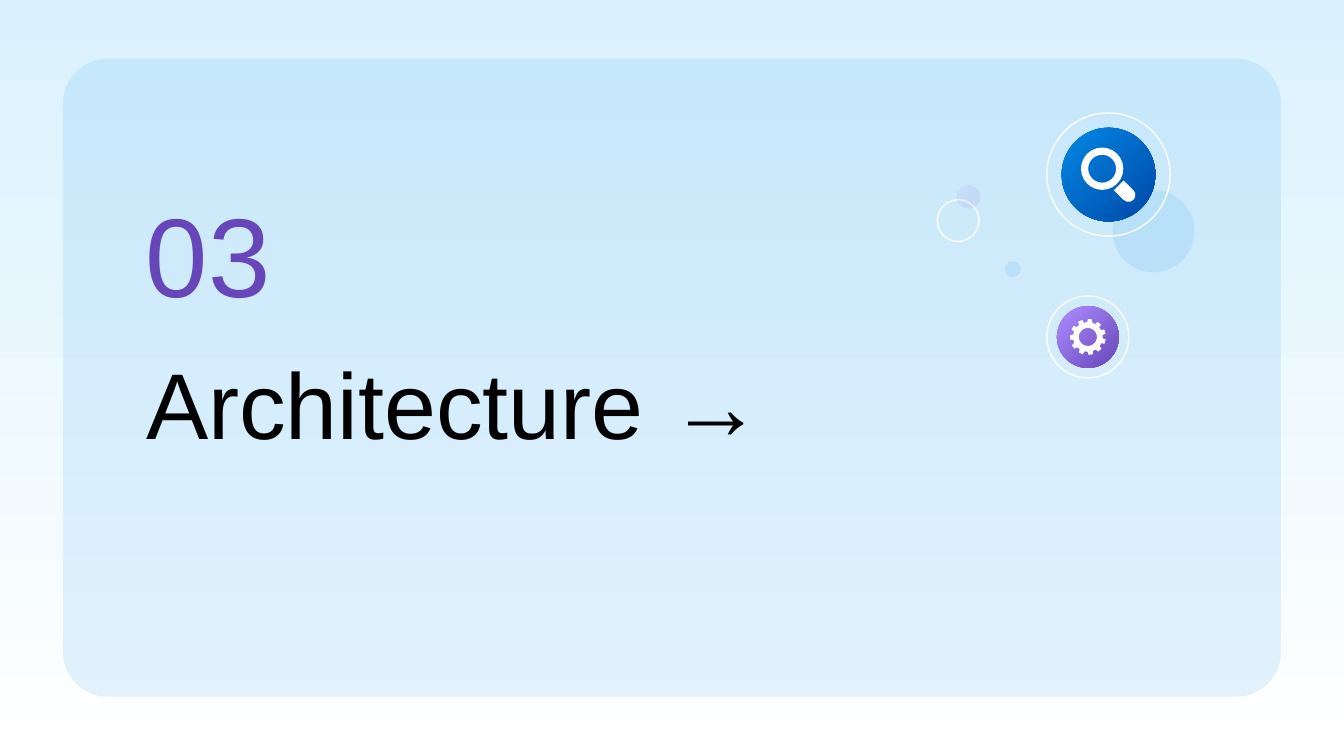
import math

import pptx
import pptx.dml.color
import pptx.enum.shapes
import pptx.enum.text
import pptx.oxml
import pptx.oxml.ns
import pptx.util

Cm = pptx.util.Cm
Pt = pptx.util.Pt
RGB = pptx.dml.color.RGBColor.from_string
SHAPE = pptx.enum.shapes.MSO_SHAPE
ANCHOR = pptx.enum.text.MSO_ANCHOR

COLORS = {
    "white": "FFFFFF",
    "sky": "DAF2FE",
    "blue": "0388E5",
    "navy": "0048A7",
    "lilac": "AD8DFF",
    "purple": "6746B9",
    "black": "000000",
}


def paint(fill, names, angle=315):
    """Fill with one colour, or with a gradient between two."""
    if len(names) == 1:
        fill.solid()
        fill.fore_color.rgb = RGB(COLORS[names[0]])
    else:
        fill.gradient()
        fill.gradient_angle = angle
        for stop, name in zip(fill.gradient_stops, names):
            stop.color.rgb = RGB(COLORS[name])


def add_figure(kind, center_x, center_y, width, height, names, opacity=100):
    """Add a preset shape around a centre; without colours it is a white ring."""
    figure = page.shapes.add_shape(
        kind, Cm(center_x - width / 2), Cm(center_y - height / 2), Cm(width), Cm(height))
    figure.shadow.inherit = False
    if names:
        paint(figure.fill, names)
        figure.line.fill.background()
    else:
        figure.fill.background()
        figure.line.color.rgb = RGB(COLORS["white"])
        figure.line.width = Pt(0.75)
    if opacity < 100:
        for color in figure._element.spPr.iter(pptx.oxml.ns.qn("a:srgbClr")):
            alpha = pptx.oxml.parse_xml(
                f'<a:alpha {pptx.oxml.ns.nsdecls("a")} val="{opacity * 1000}"/>')
            color.append(alpha)
    return figure


# Slide and background
deck = pptx.Presentation()
deck.slide_width, deck.slide_height = Cm(25.4), Cm(14.29)
page = deck.slides.add_slide(deck.slide_layouts[5])
paint(page.background.fill, ["white", "sky"], angle=90)

# Rounded card, behind the title
card = add_figure(SHAPE.ROUNDED_RECTANGLE, 12.7, 7.14, 23.02, 12.06, ["blue"], 10)
card.adjustments[0] = 0.07
page.shapes._spTree.insert(2, card._element)

# Section title and number
title = page.shapes.title
title.left, title.top, title.width, title.height = Cm(2.51), Cm(6.3), Cm(13.36), Cm(2.62)
number = page.shapes.add_textbox(Cm(2.51), Cm(3.23), Cm(13.36), Cm(3.07))
for box, words, size, name, anchor in [
    (title, "Architecture →", 50, "black", ANCHOR.TOP),
    (number, "03", 60, "purple", ANCHOR.BOTTOM),
]:
    frame = box.text_frame
    frame.text = words
    frame.word_wrap = True
    frame.auto_size = pptx.enum.text.MSO_AUTO_SIZE.NONE
    frame.vertical_anchor = anchor
    frame.margin_left = frame.margin_right = Cm(0.25)
    frame.margin_top = frame.margin_bottom = Cm(0.25)
    para = frame.paragraphs[0]
    para.alignment = pptx.enum.text.PP_ALIGN.LEFT
    span = para.runs[0]
    span.font.name = "Arial"
    span.font.size = Pt(size)
    span.font.color.rgb = RGB(COLORS[name])

# Bubbles, halos and icon discs: centre, diameter, colours, opacity
gear_x, gear_y = 20.56, 6.37
search_x, search_y = 20.95, 3.3
for center_x, center_y, diameter, names, opacity in [
    (21.8, 4.37, 1.55, ["blue"], 10),
    (18.11, 4.17, 0.79, [], 100),
    (18.3, 3.72, 0.43, ["lilac", "purple"], 10),
    (19.14, 5.09, 0.3, ["blue"], 10),
    (gear_x, gear_y, 1.55, [], 100),
    (gear_x, gear_y, 1.17, ["lilac", "purple"], 100),
    (search_x, search_y, 2.33, [], 100),
    (search_x, search_y, 1.77, ["blue", "navy"], 100),
]:
    add_figure(SHAPE.OVAL, center_x, center_y, diameter, diameter, names, opacity)

# Gear: eleven teeth around a round hole
TEETH = 11
rim = []
for tooth in range(TEETH):
    middle = 360 / TEETH * tooth - 83
    for offset, radius in [(-10, 0.28), (-7, 0.34), (7, 0.34), (10, 0.28)]:
        rim.append((middle + offset, radius))
hole = [(angle, 0.17) for angle in range(360, 0, -10)]
rim_points, hole_points = [
    [(Cm(gear_x + radius * math.cos(math.radians(angle))),
      Cm(gear_y + radius * math.sin(math.radians(angle)))) for angle, radius in outline]
    for outline in (rim, hole)
]
builder = page.shapes.build_freeform(*rim_points[0])
builder.add_line_segments(rim_points[1:])
builder.move_to(*hole_points[0])
builder.add_line_segments(hole_points[1:])
gear = builder.convert_to_shape()
gear.shadow.inherit = False
paint(gear.fill, ["white"])
gear.line.fill.background()

# Magnifier: handle and lens
handle = add_figure(SHAPE.ROUND_2_SAME_RECTANGLE, 21.28, 3.64, 0.26, 0.39, ["white"])
handle.adjustments[0] = 0.5
handle.rotation = 135
lens = add_figure(SHAPE.DONUT, 20.83, 3.19, 0.8, 0.8, ["white"])
lens.adjustments[0] = 0.17

deck.save("out.pptx")
